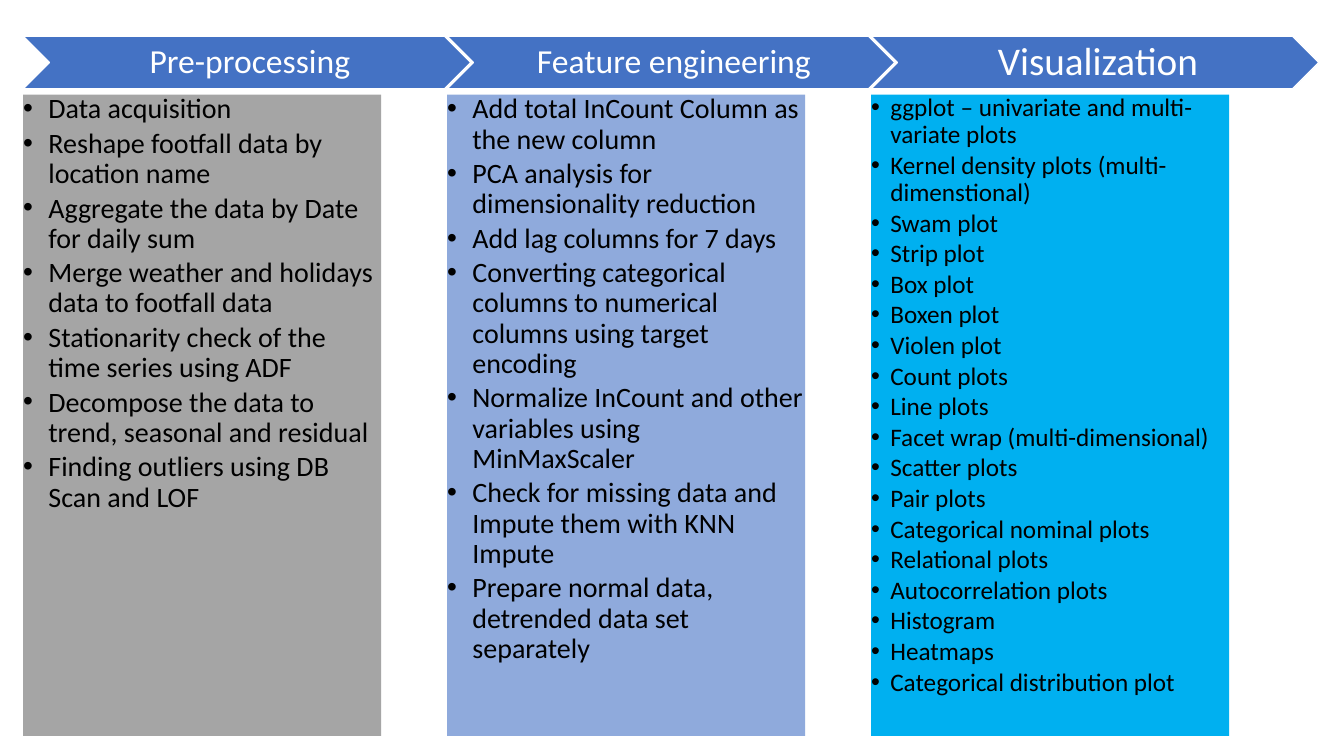
from dataclasses import dataclass

from lxml.etree import SubElement
from pptx import Presentation
from pptx.dml.color import RGBColor
from pptx.enum.shapes import MSO_SHAPE
from pptx.enum.text import MSO_ANCHOR, PP_ALIGN
from pptx.oxml.ns import qn
from pptx.util import Inches, Pt


@dataclass(frozen=True)
class Theme:
    font: str = "Calibri"
    chevron: str = "4472C4"
    white: str = "FFFFFF"
    black: str = "000000"
    gray: str = "A5A5A5"
    light_blue: str = "8FAADC"
    sky_blue: str = "00B0F0"
    heading: int = 24
    large_heading: int = 28
    item: int = 20
    small_item: int = 18


theme = Theme()

# Stage: heading, heading size, panel colour, item size, bullet indent, space after, items
stages = [
    ("Pre-processing", theme.heading, theme.gray, theme.item, 0.25, 3, [
        "Data acquisition",
        "Reshape footfall data by location name",
        "Aggregate the data by Date for daily sum",
        "Merge weather and holidays data to footfall data",
        "Stationarity check of the time series using ADF",
        "Decompose the data to trend, seasonal and residual",
        "Finding outliers using DB Scan and LOF",
    ]),
    ("Feature engineering", theme.heading, theme.light_blue, theme.item, 0.25, 3, [
        "Add total InCount Column as the new column",
        "PCA analysis for dimensionality reduction",
        "Add lag columns for 7 days",
        "Converting categorical columns to numerical columns using target encoding",
        "Normalize InCount and other variables using MinMaxScaler",
        "Check for missing data and Impute them with KNN Impute",
        "Prepare normal data, detrended data set separately",
    ]),
    ("Visualization", theme.large_heading, theme.sky_blue, theme.small_item, 0.19, 2.4, [
        "ggplot – univariate and multi-variate plots",
        "Kernel density plots (multi-dimenstional)",
        "Swam plot",
        "Strip plot",
        "Box plot",
        "Boxen plot",
        "Violen plot",
        "Count plots",
        "Line plots",
        "Facet wrap (multi-dimensional)",
        "Scatter plots",
        "Pair plots",
        "Categorical nominal plots",
        "Relational plots",
        "Autocorrelation plots",
        "Histogram",
        "Heatmaps",
        "Categorical distribution plot",
    ]),
]


def add_block(preset, left, top, width, height, color, margins, anchor):
    block = page.shapes.add_shape(
        preset, Inches(left), Inches(top), Inches(width), Inches(height))
    block.shadow.inherit = False
    block.fill.solid()
    block.fill.fore_color.rgb = RGBColor.from_string(color)
    block.line.fill.background()
    frame = block.text_frame
    frame.word_wrap = True
    frame.vertical_anchor = anchor
    frame.margin_left, frame.margin_top, frame.margin_right, frame.margin_bottom = (
        Inches(margin) for margin in margins)
    return block


def style_paragraph(para, text, size, color, align):
    para.text = text
    para.alignment = align
    para.line_spacing = 0.9
    para.font.name = theme.font
    para.font.size = Pt(size)
    para.font.color.rgb = RGBColor.from_string(color)


deck = Presentation()
deck.slide_width, deck.slide_height = Inches(13.33), Inches(7.5)
page = deck.slides.add_slide(deck.slide_layouts[6])

first_left, column_step = 0.23, 4.205

for column, (heading, heading_size, color, size, indent, gap, items) in enumerate(stages):
    left = first_left + column * column_step

    # Chevron heading
    chevron = add_block(MSO_SHAPE.CHEVRON, left, 0.36, 4.44, 0.52, theme.chevron,
                        (0.1, 0.04, 0.04, 0.04), MSO_ANCHOR.MIDDLE)
    chevron.line.color.rgb = RGBColor.from_string(theme.white)
    chevron.line.width = Pt(1)
    style_paragraph(chevron.text_frame.paragraphs[0], heading, heading_size,
                    theme.white, PP_ALIGN.CENTER)

    # Panel with bulleted steps
    panel = add_block(MSO_SHAPE.RECTANGLE, left, 0.94, 3.55, 6.36, color,
                      (0, 0, 0, 0), MSO_ANCHOR.TOP)
    frame = panel.text_frame
    for number, item in enumerate(items):
        para = frame.add_paragraph() if number else frame.paragraphs[0]
        para.space_after = Pt(gap)
        properties = para._p.get_or_add_pPr()
        properties.set("marL", str(Inches(indent)))
        properties.set("indent", str(-Inches(indent)))
        SubElement(properties, qn("a:buFont"), typeface="Arial")
        SubElement(properties, qn("a:buChar"), char="•")
        style_paragraph(para, item, size, theme.black, PP_ALIGN.LEFT)

deck.save("out.pptx")
